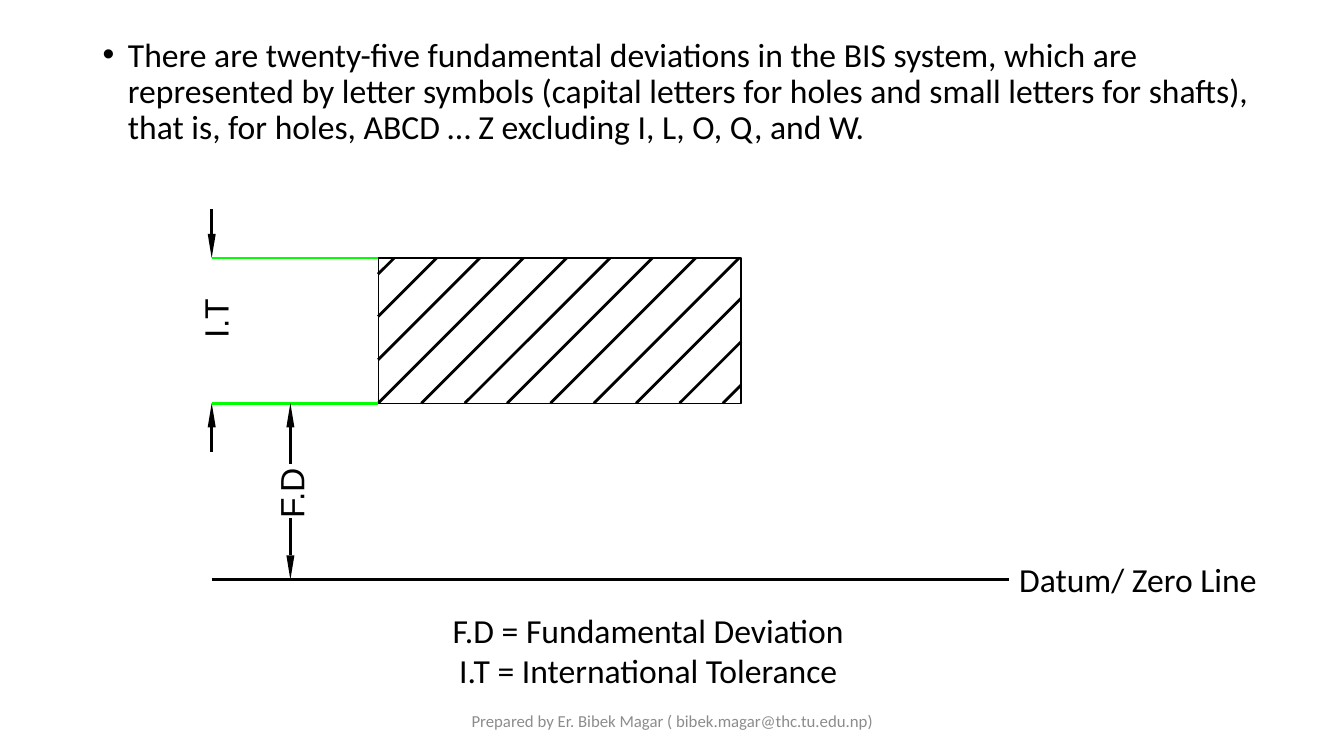
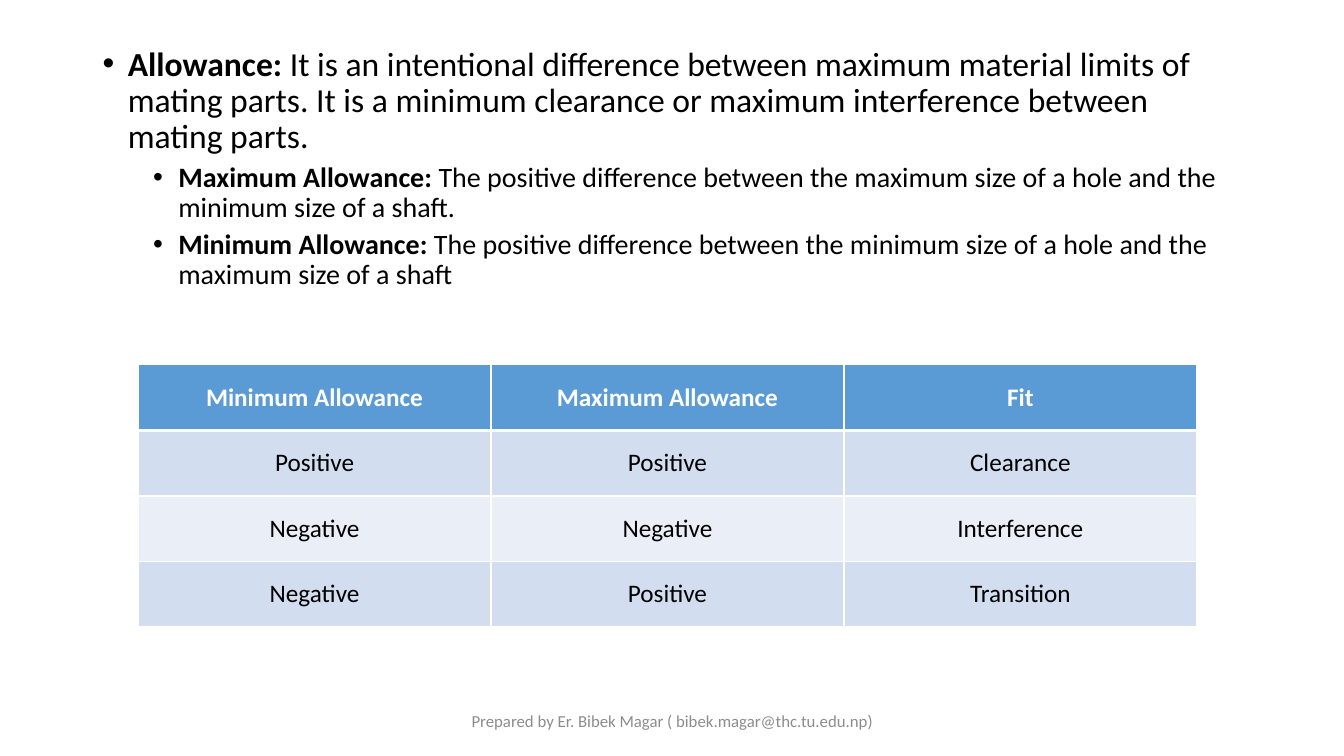
from dataclasses import dataclass

from lxml.etree import SubElement
from pptx import Presentation
from pptx.dml.color import RGBColor
from pptx.enum.shapes import MSO_CONNECTOR, MSO_SHAPE
from pptx.enum.text import MSO_ANCHOR, MSO_AUTO_SIZE, PP_ALIGN
from pptx.oxml import parse_xml
from pptx.oxml.ns import nsdecls, qn
from pptx.shapes.autoshape import Shape
from pptx.shapes.connector import Connector
from pptx.slide import Slide
from pptx.table import _Cell
from pptx.text.text import _Paragraph
from pptx.util import Pt

PX = 9144  # EMU per px, 100 px to the inch

BLACK = RGBColor(0x00, 0x00, 0x00)
WHITE = RGBColor(0xFF, 0xFF, 0xFF)
GREY = RGBColor(0x8C, 0x8C, 0x8C)
GREEN = RGBColor(0x00, 0xFF, 0x00)
HEADER_BLUE = RGBColor(0x5B, 0x9B, 0xD5)
BAND_BLUES = (RGBColor(0xD2, 0xDE, 0xEF), RGBColor(0xEA, 0xEF, 0xF7))

BODY_FONT = "Calibri"
DRAWING_FONT = "Arial"
FOOTER = "Prepared by Er. Bibek Magar ( bibek.magar@thc.tu.edu.np)"


@dataclass(frozen=True)
class Box:
    left: int
    top: int
    width: int
    height: int

    @property
    def right(self) -> int:
        return self.left + self.width

    @property
    def bottom(self) -> int:
        return self.top + self.height

    def emu(self) -> tuple[int, int, int, int]:
        return self.left * PX, self.top * PX, self.width * PX, self.height * PX


@dataclass(frozen=True)
class Bullet:
    lead: str
    text: str
    level: int = 0


@dataclass(frozen=True)
class Arrow:
    x: int
    tail: int
    tip: int


@dataclass(frozen=True)
class DimensionLabel:
    text: str
    box: Box


# Bullet styles by level: size, left margin in px, space before
BULLET_STYLES = ((24, 25, 10), (20, 75, 5))
BULLET_HANG = 25

# Tolerance diagram
ZONE = Box(375, 256, 360, 144)
DATUM_Y = 575
DIAGRAM_LEFT = 210
DEVIATION_X = 288
HATCH_SPAN, HATCH_GAPS = 342, 8
HEAD_LENGTH, HEAD_HALF_WIDTH = 24, 4
ARROWS = (
    Arrow(DIAGRAM_LEFT, 207, ZONE.top),
    Arrow(DIAGRAM_LEFT, 448, ZONE.bottom),
    Arrow(DEVIATION_X, 460, ZONE.bottom),
    Arrow(DEVIATION_X, 514, DATUM_Y),
)
DIMENSION_LABELS = (
    DimensionLabel("I.T", Box(194, 296, 39, 40)),
    DimensionLabel("F.D", Box(256, 456, 71, 46)),
)

# Allowance table
FITS = (
    ("Minimum Allowance", "Maximum Allowance", "Fit"),
    ("Positive", "Positive", "Clearance"),
    ("Negative", "Negative", "Interference"),
    ("Negative", "Positive", "Transition"),
)
FIT_TABLE = Box(137, 362, 1050, 260)


def style(paragraph: _Paragraph, size: int, color: RGBColor = BLACK,
          font: str = BODY_FONT) -> None:
    paragraph.font.size = Pt(size)
    paragraph.font.name = font
    paragraph.font.color.rgb = color


def add_text(slide: Slide, box: Box, lines: tuple[str, ...], size: int = 24,
             color: RGBColor = BLACK, font: str = BODY_FONT,
             align: PP_ALIGN = PP_ALIGN.LEFT) -> Shape:
    text_box = slide.shapes.add_textbox(*box.emu())
    frame = text_box.text_frame
    frame.word_wrap = True
    frame.text = "\n".join(lines)
    for paragraph in frame.paragraphs:
        paragraph.alignment = align
        style(paragraph, size, color, font)
    return text_box


def add_footer(slide: Slide) -> None:
    footer = add_text(slide, Box(442, 695, 450, 40), (FOOTER,), 12, GREY,
                      align=PP_ALIGN.CENTER)
    footer.text_frame.vertical_anchor = MSO_ANCHOR.MIDDLE


def add_bullets(slide: Slide, box: Box, bullets: tuple[Bullet, ...]) -> None:
    frame = slide.shapes.add_textbox(*box.emu()).text_frame
    frame.word_wrap = True
    for index, bullet in enumerate(bullets):
        paragraph = frame.add_paragraph() if index else frame.paragraphs[0]
        size, margin, space = BULLET_STYLES[bullet.level]
        paragraph.level = bullet.level
        properties = paragraph._p.get_or_add_pPr()
        properties.set("marL", str(margin * PX))
        properties.set("indent", str(-BULLET_HANG * PX))
        SubElement(properties, qn("a:buFont")).set("typeface", DRAWING_FONT)
        SubElement(properties, qn("a:buChar")).set("char", "•")
        paragraph.line_spacing = 0.9
        if index:
            paragraph.space_before = Pt(space)
        style(paragraph, size)
        if bullet.lead:
            lead = paragraph.add_run()
            lead.text = bullet.lead
            lead.font.bold = True
        paragraph.add_run().text = bullet.text


def add_line(slide: Slide, x1: int, y1: int, x2: int, y2: int,
             color: RGBColor = BLACK) -> Connector:
    line = slide.shapes.add_connector(
        MSO_CONNECTOR.STRAIGHT, x1 * PX, y1 * PX, x2 * PX, y2 * PX)
    line.line.color.rgb = color
    line.line.width = Pt(0)
    SubElement(line._element.spPr, qn("a:effectLst"))
    return line


def add_arrow(slide: Slide, arrow: Arrow) -> None:
    direction = 1 if arrow.tip > arrow.tail else -1
    base = arrow.tip - direction * HEAD_LENGTH
    add_line(slide, arrow.x, base, arrow.x, arrow.tail)
    builder = slide.shapes.build_freeform(
        arrow.x - HEAD_HALF_WIDTH, base, scale=PX)
    builder.add_line_segments(
        [(arrow.x + HEAD_HALF_WIDTH, base), (arrow.x, arrow.tip)], close=True)
    head = builder.convert_to_shape()
    head.shadow.inherit = False
    head.fill.solid()
    head.fill.fore_color.rgb = BLACK
    head.line.fill.background()


def add_tolerance_zone(slide: Slide) -> None:
    # 45-degree hatching, clipped to the zone
    for step in range(-3, HATCH_GAPS + 1):
        foot = ZONE.left + round(step * HATCH_SPAN / HATCH_GAPS)
        x1 = max(foot, ZONE.left)
        x2 = min(foot + ZONE.height, ZONE.right)
        add_line(slide, x1, ZONE.bottom - (x1 - foot),
                 x2, ZONE.bottom - (x2 - foot))
    zone = slide.shapes.add_shape(MSO_SHAPE.RECTANGLE, *ZONE.emu())
    zone.shadow.inherit = False
    zone.fill.background()
    zone.line.color.rgb = BLACK
    zone.line.width = Pt(0)
    # Extension lines
    for y in (ZONE.bottom, ZONE.top):
        add_line(slide, ZONE.left, y, DIAGRAM_LEFT, y, GREEN)


def add_dimension_label(slide: Slide, label: DimensionLabel) -> None:
    text_box = add_text(slide, label.box, (label.text,), font=DRAWING_FONT)
    text_box.rotation = 270
    frame = text_box.text_frame
    frame.margin_left = frame.margin_right = 0
    frame.margin_top = frame.margin_bottom = 0
    frame.word_wrap = False
    frame.auto_size = MSO_AUTO_SIZE.SHAPE_TO_FIT_TEXT


def set_borders(cell: _Cell, top: int, bottom: int) -> None:
    properties = cell._tc.get_or_add_tcPr()
    widths = (("lnL", 1), ("lnR", 1), ("lnT", top), ("lnB", bottom))
    for position, (side, width) in enumerate(widths):
        properties.insert(position, parse_xml(
            f'<a:{side} {nsdecls("a")} w="{Pt(width)}"><a:solidFill>'
            f'<a:srgbClr val="{WHITE}"/></a:solidFill></a:{side}>'))


def add_fit_table(slide: Slide) -> None:
    table = slide.shapes.add_table(
        len(FITS), len(FITS[0]), *FIT_TABLE.emu()).table
    table.horz_banding = False
    for row, values in enumerate(FITS):
        is_header = row == 0
        for column, value in enumerate(values):
            cell = table.cell(row, column)
            cell.text = value
            cell.vertical_anchor = MSO_ANCHOR.MIDDLE
            cell.fill.solid()
            cell.fill.fore_color.rgb = (
                HEADER_BLUE if is_header else BAND_BLUES[(row - 1) % 2])
            set_borders(cell, 3 if row == 1 else 1, 3 if is_header else 1)
            paragraph = cell.text_frame.paragraphs[0]
            paragraph.alignment = PP_ALIGN.CENTER
            style(paragraph, 18, WHITE if is_header else BLACK)
            paragraph.font.bold = is_header


def build_deviation_slide(slide: Slide) -> None:
    add_bullets(slide, Box(92, 33, 1205, 148), (
        Bullet("", "There are twenty-five fundamental deviations in the BIS "
               "system, which are represented by letter symbols (capital "
               "letters for holes and small letters for shafts), that is, for "
               "holes, ABCD … Z excluding I, L, O, Q, and W."),
    ))
    add_footer(slide)
    # Datum line, joined to its label
    datum_box = Box(1001, 550, 307, 50)
    datum_label = add_text(slide, datum_box, ("Datum/ Zero Line",))
    datum = add_line(slide, DIAGRAM_LEFT, DATUM_Y, datum_box.left, DATUM_Y)
    datum.end_connect(datum_label, 1)
    add_tolerance_zone(slide)
    for arrow in ARROWS:
        add_arrow(slide, arrow)
    for label in DIMENSION_LABELS:
        add_dimension_label(slide, label)
    # Key to the abbreviations
    add_text(slide, Box(243, 600, 800, 91),
             ("F.D = Fundamental Deviation", "I.T = International Tolerance"),
             align=PP_ALIGN.CENTER)


def build_allowance_slide(slide: Slide) -> None:
    add_bullets(slide, Box(92, 42, 1150, 344), (
        Bullet("Allowance: ", "It is an intentional difference between maximum "
               "material limits of mating parts. It is a minimum clearance or "
               "maximum interference between mating parts."),
        Bullet("Maximum Allowance:", " The positive difference between the "
               "maximum size of a hole and the minimum size of a shaft.", 1),
        Bullet("Minimum Allowance:", " The positive difference between the "
               "minimum size of a hole and the maximum size of a shaft", 1),
    ))
    add_footer(slide)
    add_fit_table(slide)


def main() -> None:
    presentation = Presentation()
    presentation.slide_width = 1333 * PX
    presentation.slide_height = 750 * PX
    blank = presentation.slide_layouts[6]
    for build in (build_deviation_slide, build_allowance_slide):
        build(presentation.slides.add_slide(blank))
    presentation.save("out.pptx")


if __name__ == "__main__":
    main()
